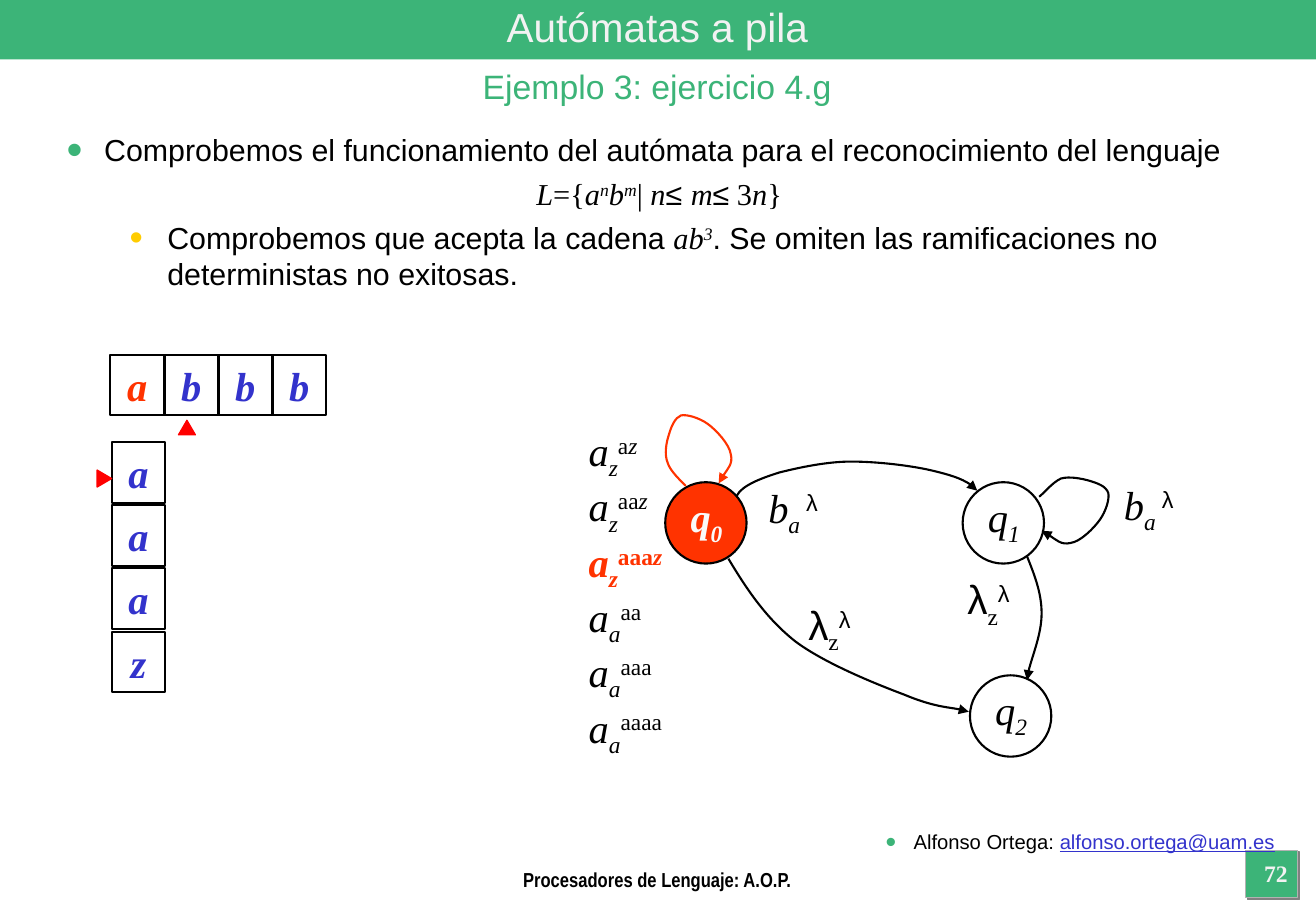
from dataclasses import dataclass

from lxml import etree
from pptx import Presentation
from pptx.dml.color import RGBColor
from pptx.enum.shapes import MSO_SHAPE
from pptx.enum.text import MSO_ANCHOR, MSO_AUTO_SIZE, PP_ALIGN
from pptx.oxml.ns import qn
from pptx.util import Inches, Pt

RECTANGLE, OVAL, TRIANGLE = MSO_SHAPE.RECTANGLE, MSO_SHAPE.OVAL, MSO_SHAPE.ISOSCELES_TRIANGLE
LEFT, CENTER, RIGHT = PP_ALIGN.LEFT, PP_ALIGN.CENTER, PP_ALIGN.RIGHT
TOP, MIDDLE = MSO_ANCHOR.TOP, MSO_ANCHOR.MIDDLE
TITLE_ONLY = 5


@dataclass(frozen=True)
class Theme:
    green: str = "3CB478"
    yellow: str = "FFCC00"
    blue: str = "3333CC"
    active: str = "FF3300"
    pointer: str = "FF0000"
    black: str = "000000"
    gray: str = "B2B2B2"
    shadow: str = "808080"
    light: str = "F2F2F2"
    active_text: str = "FAFAFA"
    sans: str = "Arial"
    narrow: str = "Arial Narrow"
    serif: str = "Times New Roman"
    title: int = 24
    subtitle: int = 20
    body: int = 18
    symbol: int = 24
    number: int = 14
    footer: int = 12
    line: float = 1.25


THEME = Theme()
ITALIC = dict(font=THEME.serif, italic=True)
SERIF = dict(font=THEME.serif)
SUB = dict(ITALIC, baseline=-25)
SUPER = dict(SERIF, baseline=30)
SUPER_ITALIC = dict(ITALIC, baseline=30)
LAMBDA_SUPER = ("λ", dict(font=THEME.sans, baseline=30))

LANGUAGE = [("L", ITALIC), ("={", SERIF), ("a", ITALIC), ("n", SUPER_ITALIC), ("b", ITALIC),
            ("m", SUPER_ITALIC), ("| ", SERIF), ("n", ITALIC), "≤ ", ("m", ITALIC), "≤",
            (" 3", SERIF), ("n", ITALIC), ("}", SERIF)]
B_LABEL = [("b", ITALIC), ("a ", SUB), LAMBDA_SUPER]
LAMBDA_LABEL = ["λ", ("z", dict(SERIF, baseline=-25)), LAMBDA_SUPER]


def color(value):
    return RGBColor.from_string(value)


def add_bullet(paragraph, bullet_color, percent, margin, hanging):
    """Put a round bullet on a paragraph; margin and hanging are in inches."""
    properties = paragraph._p.get_or_add_pPr()
    properties.set("marL", str(Inches(margin)))
    properties.set("indent", str(-Inches(hanging)))
    bullet = etree.SubElement(properties, qn("a:buClr"))
    etree.SubElement(bullet, qn("a:srgbClr"), val=bullet_color)
    etree.SubElement(properties, qn("a:buSzPct"), val=str(percent * 1000))
    etree.SubElement(properties, qn("a:buFont"), typeface=THEME.sans)
    etree.SubElement(properties, qn("a:buChar"), char="•")


def write(paragraph, runs, size=THEME.symbol, font=THEME.sans, text_color=THEME.black,
          bold=False, italic=False, align=LEFT, space_before=0, bullet=None):
    """Fill a paragraph with runs: plain strings or (string, format) pairs."""
    if bullet:
        add_bullet(paragraph, *bullet)
    paragraph.alignment = align
    paragraph.space_before = Pt(space_before)
    for item in runs:
        text, changes = (item, {}) if isinstance(item, str) else item
        run = paragraph.add_run()
        run.text = text
        run.font.size = Pt(size)
        run.font.name = changes.get("font", font)
        run.font.bold = bold
        run.font.italic = changes.get("italic", italic)
        run.font.underline = changes.get("underline", False)
        run.font.color.rgb = color(changes.get("text_color", text_color))
        if "baseline" in changes:
            run._r.get_or_add_rPr().set("baseline", str(changes["baseline"] * 1000))


def prepare_frame(shape, wrap=True, anchor=TOP):
    frame = shape.text_frame
    frame.auto_size = MSO_AUTO_SIZE.NONE
    frame.word_wrap = wrap
    frame.vertical_anchor = anchor
    return frame


def add_text(slide, box, runs, wrap=True, **text_format):
    """Add a text box with one paragraph and return its frame."""
    frame = prepare_frame(slide.shapes.add_textbox(*map(Inches, box)), wrap)
    write(frame.paragraphs[0], runs, **text_format)
    return frame


def style_outline(shape, fill=None, line=None, width=THEME.line):
    shape.shadow.inherit = False
    if fill:
        shape.fill.solid()
        shape.fill.fore_color.rgb = color(fill)
    else:
        shape.fill.background()
    if line:
        shape.line.color.rgb = color(line)
        shape.line.width = Pt(width)
    else:
        shape.line.fill.background()


def add_shape(slide, kind, box, **outline):
    shape = slide.shapes.add_shape(kind, *map(Inches, box))
    style_outline(shape, **outline)
    return shape


def add_cell(slide, left, top, symbol, text_color=THEME.blue):
    cell = add_shape(slide, RECTANGLE, (left, top, 0.44, 0.5), line=THEME.black)
    write(prepare_frame(cell).paragraphs[0], [symbol], font=THEME.serif, bold=True,
          italic=True, text_color=text_color, align=CENTER)


def add_pointer(slide, left, top, rotation):
    pointer = add_shape(slide, TRIANGLE, (left, top, 0.14, 0.12),
                        fill=THEME.pointer, line=THEME.pointer, width=0.75)
    pointer.rotation = rotation


def add_state(slide, left, top, index, fill=None, **text_format):
    add_shape(slide, OVAL, (left, top, 0.67, 0.67), fill=fill, line=THEME.black)
    add_text(slide, (left + 0.11, top + 0.03, 0.46, 0.56), [("q", ITALIC), (index, SUB)],
             wrap=False, align=CENTER, **text_format)


def add_transition(slide, points, line=THEME.black):
    """Draw an arrow of cubic curves: a start point, then three points per curve."""
    places = [(Inches(x), Inches(y)) for x, y in points]
    builder = slide.shapes.build_freeform(*places[0])
    builder.add_line_segments(places[1:], close=False)
    arrow = builder.convert_to_shape()
    style_outline(arrow, line=line)
    outline = arrow.element.find(".//" + qn("a:path"))
    segments = outline.findall(qn("a:lnTo"))
    for start in range(0, len(segments), 3):
        curve = etree.SubElement(outline, qn("a:cubicBezTo"))
        for segment in segments[start:start + 3]:
            curve.append(segment[0])
            outline.remove(segment)
    etree.SubElement(arrow.line._get_or_add_ln(), qn("a:tailEnd"), type="triangle")


def add_header(slide):
    title = slide.shapes.title
    title.left, title.top, title.width, title.height = map(Inches, (0, 0, 10.83, 0.44))
    write(prepare_frame(title, anchor=MIDDLE).paragraphs[0], ["Autómatas a pila"],
          size=THEME.title, text_color=THEME.light, align=CENTER)
    bar = add_shape(slide, RECTANGLE, (0, 0, 10.84, 0.49), fill=THEME.green)
    title.element.addprevious(bar.element)
    add_text(slide, (0, 0.49, 10.83, 0.44), ["Ejemplo 3: ejercicio 4.g"],
             size=THEME.subtitle, text_color=THEME.green, align=CENTER)


def add_body(slide):
    frame = add_text(
        slide, (0.45, 1.03, 9.96, 1.5),
        ["Comprobemos el funcionamiento del autómata para el reconocimiento del lenguaje"],
        size=THEME.body, bullet=(THEME.green, 150, 0.31, 0.31))
    write(frame.add_paragraph(), LANGUAGE, size=THEME.body, align=CENTER, space_before=4.5)
    write(frame.add_paragraph(),
          ["Comprobemos que acepta la cadena ", ("ab", ITALIC), ("3", SUPER_ITALIC),
           ". Se omiten las ramificaciones no deterministas no exitosas."],
          size=THEME.body, space_before=4.5, bullet=(THEME.yellow, 125, 0.83, 0.31))


def add_tape_and_stack(slide):
    for index, symbol in enumerate("abbb"):
        add_cell(slide, 0.91 + 0.445 * index, 2.92, symbol,
                 THEME.blue if index else THEME.active)
    for index, symbol in enumerate("aaaz"):
        add_cell(slide, 0.92, 3.64 + 0.52 * index, symbol)
    add_pointer(slide, 1.47, 3.46, 0)
    add_pointer(slide, 0.79, 3.88, 90)


def add_automaton(slide):
    add_state(slide, 5.48, 3.97, "0", fill=THEME.active, text_color=THEME.active_text, bold=True)
    add_state(slide, 7.93, 3.97, "1")
    add_state(slide, 7.99, 5.56, "2")
    add_transition(slide, [(5.65, 4), (5.62, 3.97), (5.52, 3.88), (5.5, 3.81), (5.47, 3.74),
                           (5.49, 3.64), (5.51, 3.58), (5.53, 3.51), (5.56, 3.44), (5.61, 3.42),
                           (5.66, 3.41), (5.76, 3.44), (5.83, 3.49), (5.9, 3.54), (6.01, 3.66),
                           (6.02, 3.74), (6.04, 3.82), (5.94, 3.93), (5.92, 3.98)], THEME.active)
    add_transition(slide, [(6.07, 4.08), (6.11, 4), (6.26, 3.94), (6.42, 3.89), (6.58, 3.85),
                           (6.81, 3.8), (7.01, 3.8), (7.22, 3.8), (7.48, 3.83), (7.66, 3.87),
                           (7.83, 3.91), (7.99, 3.96), (8.05, 4.04)])
    add_transition(slide, [(8.56, 4.09), (8.59, 4.07), (8.67, 3.97), (8.74, 3.94), (8.81, 3.92),
                           (8.91, 3.94), (8.98, 3.96), (9.04, 3.98), (9.11, 4), (9.13, 4.06),
                           (9.14, 4.11), (9.11, 4.21), (9.06, 4.28), (9.01, 4.35), (8.9, 4.46),
                           (8.82, 4.47), (8.74, 4.49), (8.63, 4.39), (8.58, 4.37)])
    add_transition(slide, [(8.46, 4.58), (8.52, 4.73), (8.58, 4.88), (8.58, 5.05),
                           (8.58, 5.22), (8.46, 5.51), (8.46, 5.6)])
    add_transition(slide, [(6, 4.6), (6.15, 4.85), (6.31, 5.09), (6.55, 5.28), (6.79, 5.46),
                           (7.21, 5.63), (7.45, 5.72), (7.69, 5.82), (7.9, 5.83), (7.98, 5.86)])
    for left, top in ((6.23, 3.93), (9.16, 3.9)):
        add_text(slide, (left, top, 0.62, 0.56), B_LABEL, wrap=False)
    for left, top in ((7.87, 4.68), (6.56, 4.89)):
        add_text(slide, (left, top, 0.57, 0.56), LAMBDA_LABEL, wrap=False)


def add_loop_rules(slide):
    """List the stack rules of the loop on q0: stack top, pushed symbols, bottom mark."""
    frame = prepare_frame(slide.shapes.add_textbox(*map(Inches, (4.75, 3.46, 0.8, 2.83))), False)
    rules = [("z", "a", "z"), ("z", "aa", "z"), ("z", "aaa", "z"),
             ("a", "aa", ""), ("a", "aaa", ""), ("a", "aaaa", "")]
    for index, (top, pushed, bottom) in enumerate(rules):
        paragraph = frame.add_paragraph() if index else frame.paragraphs[0]
        runs = [("a", ITALIC), (top, SUB), (pushed, SUPER)]
        if bottom:
            runs.append((bottom, SUPER_ITALIC))
        used = index == 2
        write(paragraph, runs, bold=used, text_color=THEME.active if used else THEME.black)


def add_footer(slide):
    badge = add_shape(slide, RECTANGLE, (10.26, 7, 0.43, 0.39),
                      fill=THEME.green, line=THEME.gray, width=0.75)
    effects = badge.element.spPr.find(qn("a:effectLst"))
    shadow = etree.SubElement(effects, qn("a:outerShdw"), dist=str(Pt(1.4)), dir="2700000")
    etree.SubElement(shadow, qn("a:srgbClr"), val=THEME.shadow)
    add_text(slide, (3.02, 6.78, 7.58, 0.44),
             ["Alfonso Ortega: ",
              ("alfonso.ortega@uam.es", dict(text_color=THEME.blue, underline=True))],
             size=THEME.footer, align=RIGHT, bullet=(THEME.green, 150, 0.23, 0.23))
    add_text(slide, (3.01, 7.09, 4.81, 0.18), ["Procesadores de Lenguaje: A.O.P."],
             size=THEME.footer, font=THEME.narrow, bold=True, align=CENTER)
    add_text(slide, (10.24, 7.02, 0.54, 0.35), ["72"], size=THEME.number, font=THEME.serif,
             text_color=THEME.light, bold=True, align=CENTER)


def main():
    presentation = Presentation()
    presentation.slide_width, presentation.slide_height = Inches(10.84), Inches(7.5)
    slide = presentation.slides.add_slide(presentation.slide_layouts[TITLE_ONLY])
    for add_part in (add_header, add_body, add_tape_and_stack, add_automaton,
                     add_loop_rules, add_footer):
        add_part(slide)
    presentation.save("out.pptx")


if __name__ == "__main__":
    main()
